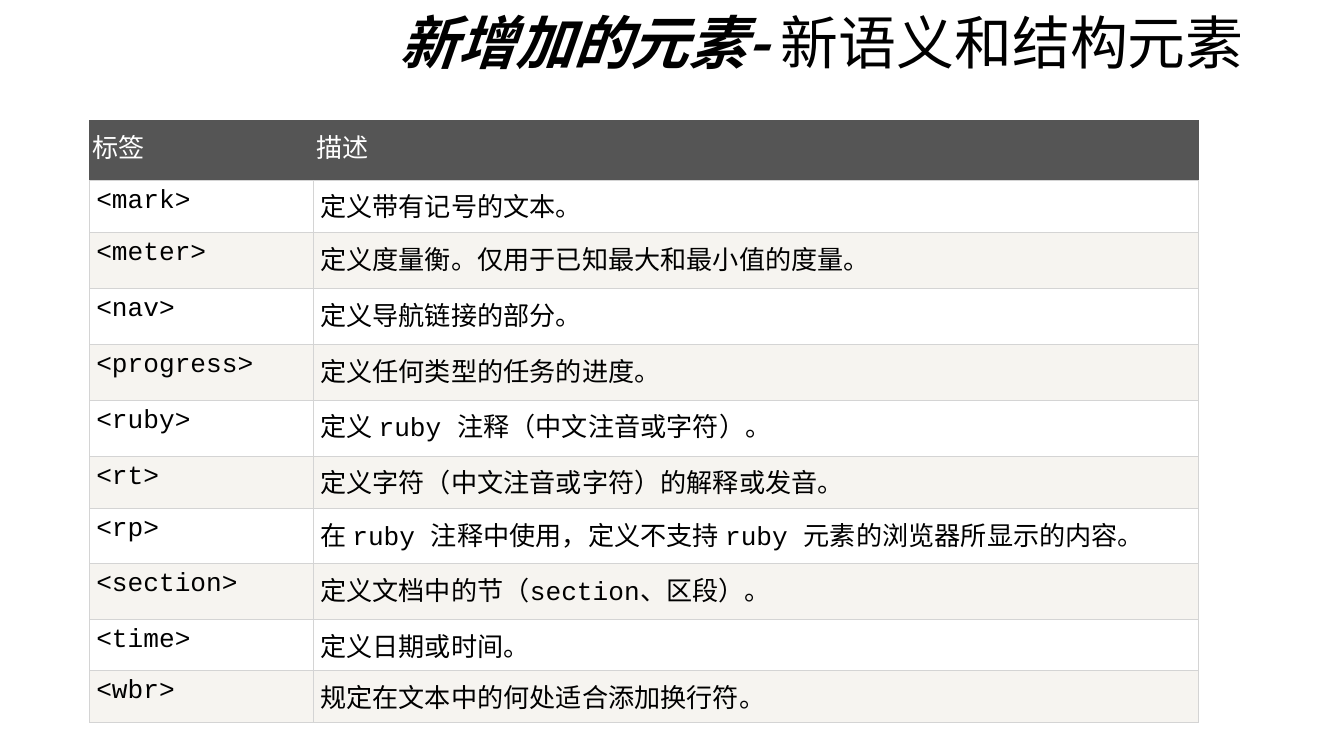
from lxml import etree
from pptx import Presentation
from pptx.dml.color import RGBColor
from pptx.enum import text
from pptx.oxml import ns
from pptx.util import Pt

BLACK = RGBColor(0x00, 0x00, 0x00)
WHITE = RGBColor(0xFF, 0xFF, 0xFF)
HEADER_GRAY = RGBColor(0x55, 0x55, 0x55)
BAND = RGBColor(0xF6, 0xF4, 0xF0)
RULE = RGBColor(0xD4, 0xD4, 0xD4)

CODE_FONT = "Courier New"
CJK_FONT = "Noto Sans CJK JP"

COLUMN_WIDTHS = [120, 474]
ROW_HEIGHTS = [32, 28, 30, 30, 30, 30, 28, 29.5, 30, 27.5, 27.5]
ROWS = [
    ("标签", "描述"),
    ("<mark>", "定义带有记号的文本。"),
    ("<meter>", "定义度量衡。仅用于已知最大和最小值的度量。"),
    ("<nav>", "定义导航链接的部分。"),
    ("<progress>", "定义任何类型的任务的进度。"),
    ("<ruby>", "定义 ruby 注释（中文注音或字符）。"),
    ("<rt>", "定义字符（中文注音或字符）的解释或发音。"),
    ("<rp>", "在 ruby 注释中使用，定义不支持 ruby 元素的浏览器所显示的内容。"),
    ("<section>", "定义文档中的节（section、区段）。"),
    ("<time>", "定义日期或时间。"),
    ("<wbr>", "规定在文本中的何处适合添加换行符。"),
]


def style_span(span, size, color, font):
    span.font.size = Pt(size)
    span.font.name = font
    span.font.color.rgb = color
    # East Asian characters take their own typeface
    latin = span.font._element.find(ns.qn("a:latin"))
    east_asian = etree.Element(ns.qn("a:ea"), typeface=CJK_FONT)
    latin.addnext(east_asian)


def set_borders(cell, side_color, bottom_color):
    properties = cell._tc.get_or_add_tcPr()
    sides = [("a:lnL", side_color), ("a:lnR", side_color),
             ("a:lnT", side_color), ("a:lnB", bottom_color)]
    # Border lines come before the fill
    for index, (tag, color) in enumerate(sides):
        line = etree.Element(ns.qn(tag), w=str(Pt(0.34)))
        fill = etree.SubElement(line, ns.qn("a:solidFill"))
        etree.SubElement(fill, ns.qn("a:srgbClr"), val=str(color))
        properties.insert(index, line)


def fill_cell(cell, words, is_header, fill_color):
    cell.margin_left = cell.margin_right = Pt(1.5 if is_header else 3.6)
    cell.margin_top = cell.margin_bottom = Pt(3.4)
    cell.vertical_anchor = text.MSO_ANCHOR.TOP
    cell.fill.solid()
    cell.fill.fore_color.rgb = fill_color
    set_borders(cell, HEADER_GRAY if is_header else RULE, RULE)
    cell.text_frame.text = words
    span = cell.text_frame.paragraphs[0].runs[0]
    style_span(span, 14, WHITE if is_header else BLACK, CODE_FONT)


def add_title(page):
    box = page.shapes.add_textbox(Pt(99.5), Pt(0), Pt(571.5), Pt(49.5))
    frame = box.text_frame
    frame.word_wrap = True
    frame.vertical_anchor = text.MSO_ANCHOR.MIDDLE
    frame.margin_left = frame.margin_right = Pt(5)
    frame.margin_top = frame.margin_bottom = Pt(2.6)
    para = frame.paragraphs[0]
    para.alignment = text.PP_ALIGN.RIGHT
    para.line_spacing = 0.9
    for words, strong in [("新增加的元素- ", True), ("新语义和结构元素", False)]:
        span = para.add_run()
        span.text = words
        style_span(span, 31, BLACK, CJK_FONT)
        span.font.bold = span.font.italic = strong


def add_element_table(page):
    frame = page.shapes.add_table(
        len(ROWS), len(COLUMN_WIDTHS), Pt(48), Pt(64.5),
        Pt(sum(COLUMN_WIDTHS)), Pt(sum(ROW_HEIGHTS)))
    table = frame.table
    table.horz_banding = False
    for column, width in zip(table.columns, COLUMN_WIDTHS):
        column.width = Pt(width)
    for index, (row, height, entries) in enumerate(
            zip(table.rows, ROW_HEIGHTS, ROWS)):
        row.height = Pt(height)
        is_header = index == 0
        band_color = WHITE if index % 2 else BAND
        fill_color = HEADER_GRAY if is_header else band_color
        for cell, words in zip(row.cells, entries):
            fill_cell(cell, words, is_header, fill_color)


def main():
    deck = Presentation()
    deck.slide_width, deck.slide_height = Pt(720), Pt(405)
    page = deck.slides.add_slide(deck.slide_layouts[6])
    add_title(page)
    add_element_table(page)
    deck.save("out.pptx")


main()
